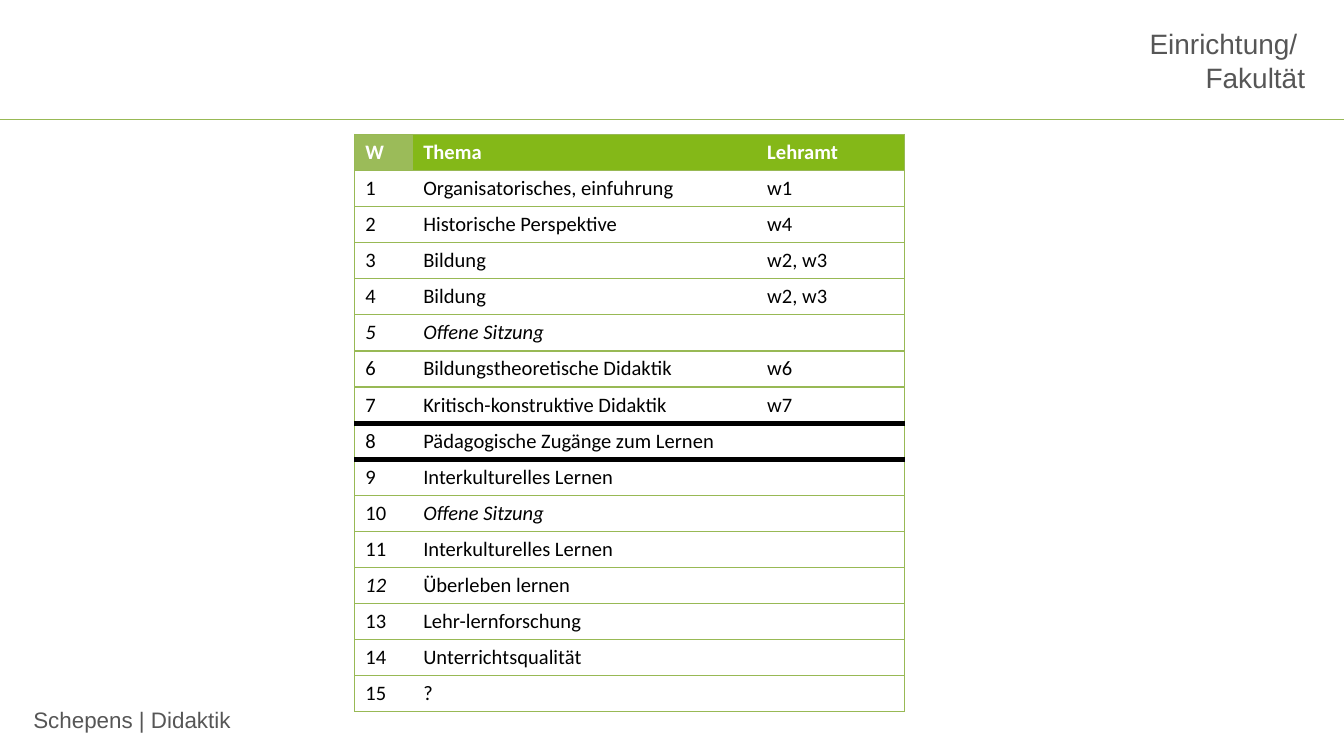
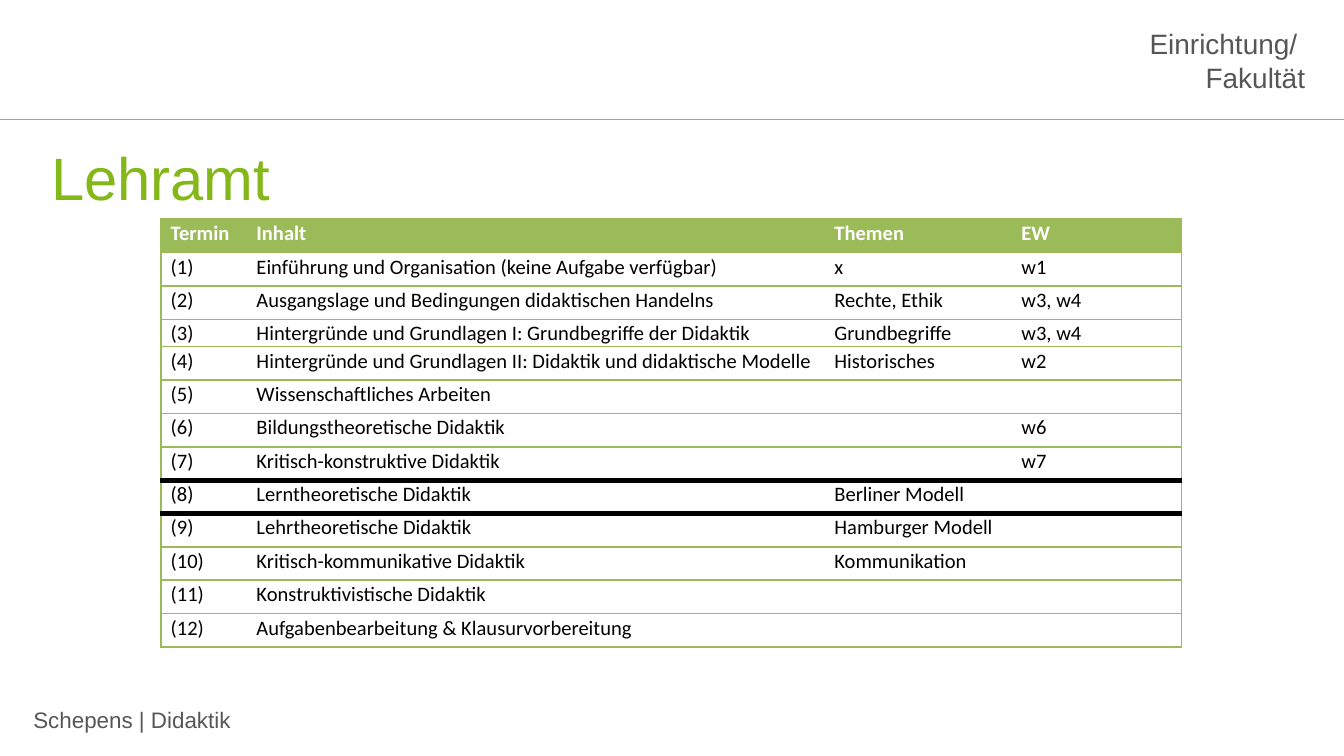
from dataclasses import dataclass

from lxml import etree
from pptx import Presentation
from pptx.dml.color import RGBColor
from pptx.enum.shapes import MSO_CONNECTOR
from pptx.enum.text import MSO_ANCHOR, MSO_AUTO_SIZE, PP_ALIGN
from pptx.oxml.ns import qn
from pptx.util import Pt

STRAIGHT = MSO_CONNECTOR.STRAIGHT
TOP, BOTTOM = MSO_ANCHOR.TOP, MSO_ANCHOR.BOTTOM
LEFT, RIGHT = PP_ALIGN.LEFT, PP_ALIGN.RIGHT
NO_AUTOFIT = MSO_AUTO_SIZE.NONE
PLAIN_TABLE = "{2D5ABB26-0587-4C30-8999-92F81FD0307C}"
TITLE_ONLY, BLANK = 5, 6


@dataclass(frozen=True)
class Theme:
    green: str = "84B818"
    rule: str = "98B955"
    olive: str = "9BBB59"
    grey: str = "565656"
    black: str = "000000"
    white: str = "FFFFFF"
    heading_font: str = "Arial"
    table_font: str = "Calibri"
    title_size: float = 32
    faculty_size: float = 15
    footer_size: float = 12
    table_size: float = 11


THEME = Theme()

# Content
FACULTY = "Einrichtung/ \nFakultät"
FOOTER = "Schepens | Didaktik"

WEEKS = {
    "rows": [
        ("W", "Thema", "Lehramt"),
        ("1", "Organisatorisches, einfuhrung", "w1"),
        ("2", "Historische Perspektive", "w4"),
        ("3", "Bildung", "w2, w3"),
        ("4", "Bildung", "w2, w3"),
        ("5", "Offene Sitzung", ""),
        ("6", "Bildungstheoretische Didaktik", "w6"),
        ("7", "Kritisch-konstruktive Didaktik", "w7"),
        ("8", "Pädagogische Zugänge zum Lernen", ""),
        ("9", "Interkulturelles Lernen", ""),
        ("10", "Offene Sitzung", ""),
        ("11", "Interkulturelles Lernen", ""),
        ("12", "Überleben lernen", ""),
        ("13", "Lehr-lernforschung", ""),
        ("14", "Unterrichtsqualität", ""),
        ("15", "?", ""),
    ],
    "italic": {(5, 0), (5, 1), (10, 1), (12, 0)},
    "header_fills": (THEME.olive, THEME.green, THEME.green),
    "origin": (190, 72),
    "widths": (31, 184.3, 79.2),
    "row_height": 19.2,
    "short_rows": {},
    "margins": (5.76, 2.88),
    "border": (THEME.rule, 0.75),
    "spacing": None,
}

SESSIONS = {
    "rows": [
        ("Termin", "Inhalt", "Themen", "EW"),
        ("(1)", "Einführung und Organisation (keine Aufgabe verfügbar)", "x", "w1"),
        ("(2)", "Ausgangslage und Bedingungen didaktischen Handelns", "Rechte, Ethik", "w3, w4"),
        ("(3)", "Hintergründe und Grundlagen I: Grundbegriffe der Didaktik", "Grundbegriffe", "w3, w4"),
        ("(4)", "Hintergründe und Grundlagen II: Didaktik und didaktische Modelle", "Historisches", "w2"),
        ("(5)", "Wissenschaftliches Arbeiten", "", ""),
        ("(6)", "Bildungstheoretische Didaktik", "", "w6"),
        ("(7)", "Kritisch-konstruktive Didaktik", "", "w7"),
        ("(8)", "Lerntheoretische Didaktik", "Berliner Modell", ""),
        ("(9)", "Lehrtheoretische Didaktik", "Hamburger Modell", ""),
        ("(10)", "Kritisch-kommunikative Didaktik", "Kommunikation", ""),
        ("(11)", "Konstruktivistische Didaktik", "", ""),
        ("(12)", "Aufgabenbearbeitung & Klausurvorbereitung", "", ""),
    ],
    "italic": set(),
    "header_fills": (THEME.olive,) * 4,
    "origin": (86.4, 117.4),
    "widths": (46, 309.6, 100.2, 90.8),
    "row_height": 17.9,
    "short_rows": {3: 14.6},
    "margins": (5.04, 0),
    "border": (THEME.olive, 1),
    "spacing": (1.07, 6),
}

SLIDES = [(None, WEEKS), ("Lehramt", SESSIONS)]

# Heavy rules frame week 8 in both tables
HEAVY_BORDER = (THEME.black, 3)
HEAVY_EDGES = {8, 9}


def style_runs(paragraph, font, size, color, bold=False, italic=False):
    for span in paragraph.runs:
        span.font.name = font
        span.font.size = Pt(size)
        span.font.color.rgb = RGBColor.from_string(color)
        span.font.bold = bold
        span.font.italic = italic


def write_text(box, text, size, color, align=LEFT, anchor=TOP, margins=None):
    frame = box.text_frame
    frame.text = text
    frame.word_wrap = True
    frame.auto_size = NO_AUTOFIT
    frame.vertical_anchor = anchor
    if margins is not None:
        frame.margin_left = frame.margin_right = Pt(margins)
        frame.margin_top = frame.margin_bottom = Pt(margins)
    for paragraph in frame.paragraphs:
        paragraph.alignment = align
        style_runs(paragraph, THEME.heading_font, size, color)


# Shared header rule, faculty name and footer
def add_frame(page):
    rule = page.shapes.add_connector(STRAIGHT, 0, Pt(64), Pt(723.6), Pt(64))
    rule.line.color.rgb = RGBColor.from_string(THEME.rule)
    rule.line.width = Pt(0.75)
    etree.SubElement(rule._element.spPr, qn("a:effectLst"))
    footer = page.shapes.add_textbox(Pt(10.8), Pt(375), Pt(240.5), Pt(20))
    write_text(footer, FOOTER, THEME.footer_size, THEME.grey)
    faculty = page.shapes.add_textbox(Pt(387.4), Pt(14.4), Pt(311.8), Pt(36))
    write_text(faculty, FACULTY, THEME.faculty_size, THEME.grey, RIGHT, BOTTOM, 0)


def add_title(page, text):
    title = page.shapes.title
    title.left, title.top, title.width, title.height = Pt(20.2), Pt(72), Pt(680.4), Pt(39.6)
    write_text(title, text, THEME.title_size, THEME.green)


# Tables
def set_borders(cell, borders):
    properties = cell._tc.get_or_add_tcPr()
    for index, (tag, border) in enumerate(borders.items()):
        line = etree.Element(qn(f"a:{tag}"))
        if border:
            color, width = border
            line.set("w", str(Pt(width)))
            fill = etree.SubElement(line, qn("a:solidFill"))
            etree.SubElement(fill, qn("a:srgbClr")).set("val", color)
        else:
            etree.SubElement(line, qn("a:noFill"))
        properties.insert(index, line)


def fill_cell(cell, text, data, fill, color, bold, italic):
    cell.text_frame.text = text
    side, edge = data["margins"]
    cell.margin_left = cell.margin_right = Pt(side)
    cell.margin_top = cell.margin_bottom = Pt(edge)
    cell.fill.solid()
    cell.fill.fore_color.rgb = RGBColor.from_string(fill)
    paragraph = cell.text_frame.paragraphs[0]
    if text and data["spacing"]:
        paragraph.line_spacing, gap = data["spacing"]
        paragraph.space_before = paragraph.space_after = Pt(gap)
    style_runs(paragraph, THEME.table_font, THEME.table_size, color, bold, italic)
    if not text:
        # Keeps empty cells from stretching their row
        end = etree.SubElement(paragraph._p, qn("a:endParaRPr"))
        end.set("sz", str(THEME.table_size * 100))


def add_schedule(page, data):
    rows, widths = data["rows"], data["widths"]
    heights = [data["short_rows"].get(index, data["row_height"]) for index in range(len(rows))]
    left, top = data["origin"]
    holder = page.shapes.add_table(
        len(rows), len(widths), Pt(left), Pt(top), Pt(sum(widths)), Pt(sum(heights)))
    table = holder.table
    table.horz_banding = False
    table._tbl.tblPr.find(qn("a:tableStyleId")).text = PLAIN_TABLE
    for column, width in zip(table.columns, widths):
        column.width = Pt(width)
    edges = [HEAVY_BORDER if index in HEAVY_EDGES else data["border"]
             for index in range(len(rows) + 1)]
    last = len(widths) - 1
    for r, values in enumerate(rows):
        table.rows[r].height = Pt(heights[r])
        header = r == 0
        for c, text in enumerate(values):
            cell = table.cell(r, c)
            fill = data["header_fills"][c] if header else THEME.white
            color = THEME.white if header else THEME.black
            fill_cell(cell, text, data, fill, color, header, (r, c) in data["italic"])
            set_borders(cell, {
                "lnL": data["border"] if c == 0 else None,
                "lnR": data["border"] if c == last else None,
                "lnT": edges[r],
                "lnB": edges[r + 1],
            })


def main():
    deck = Presentation()
    deck.slide_width, deck.slide_height = Pt(720), Pt(405)
    for title, data in SLIDES:
        page = deck.slides.add_slide(deck.slide_layouts[TITLE_ONLY if title else BLANK])
        add_frame(page)
        if title:
            add_title(page, title)
        add_schedule(page, data)
    deck.save("out.pptx")


if __name__ == "__main__":
    main()
